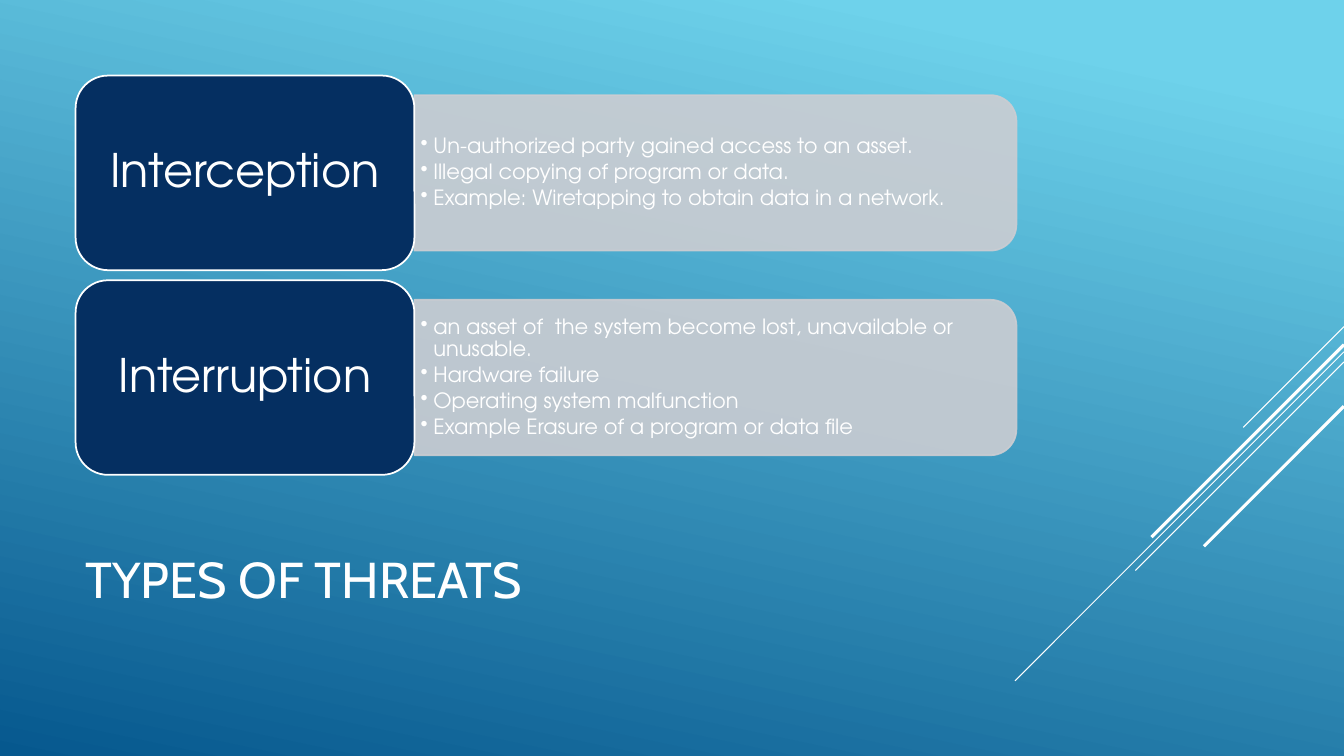
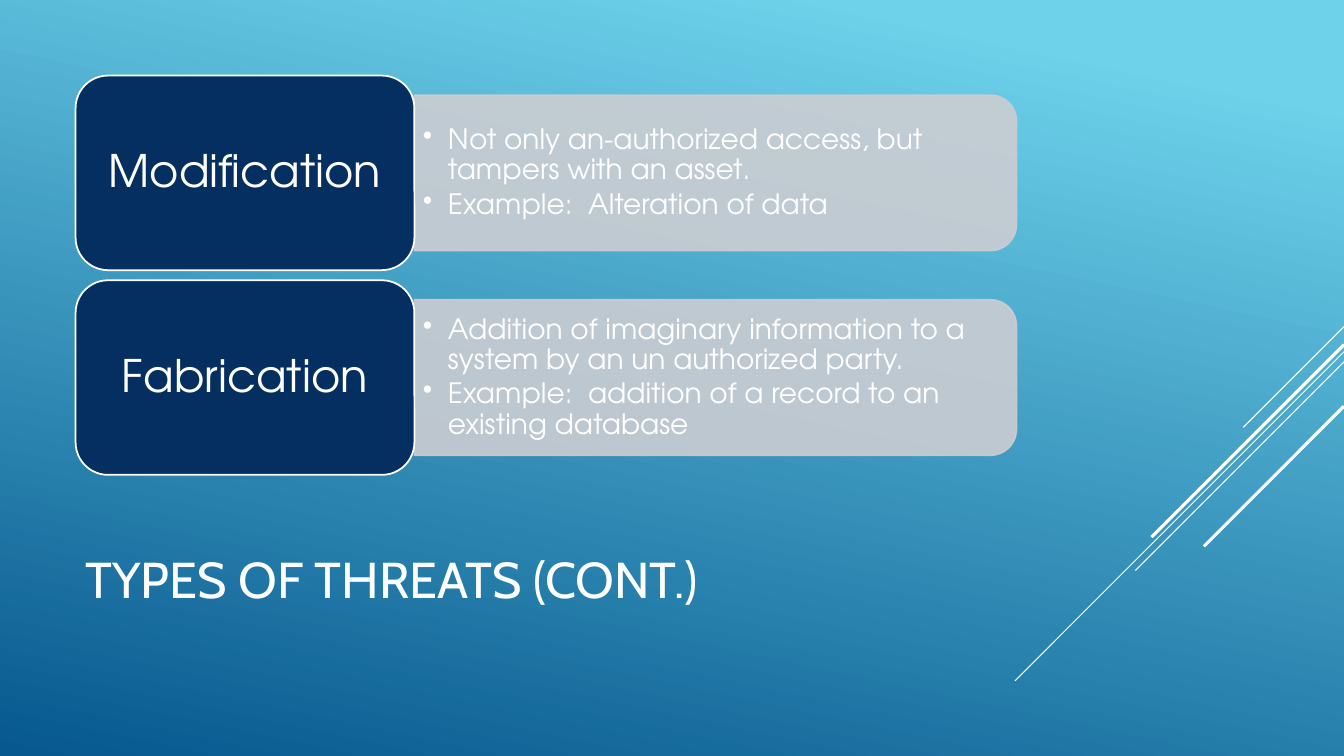
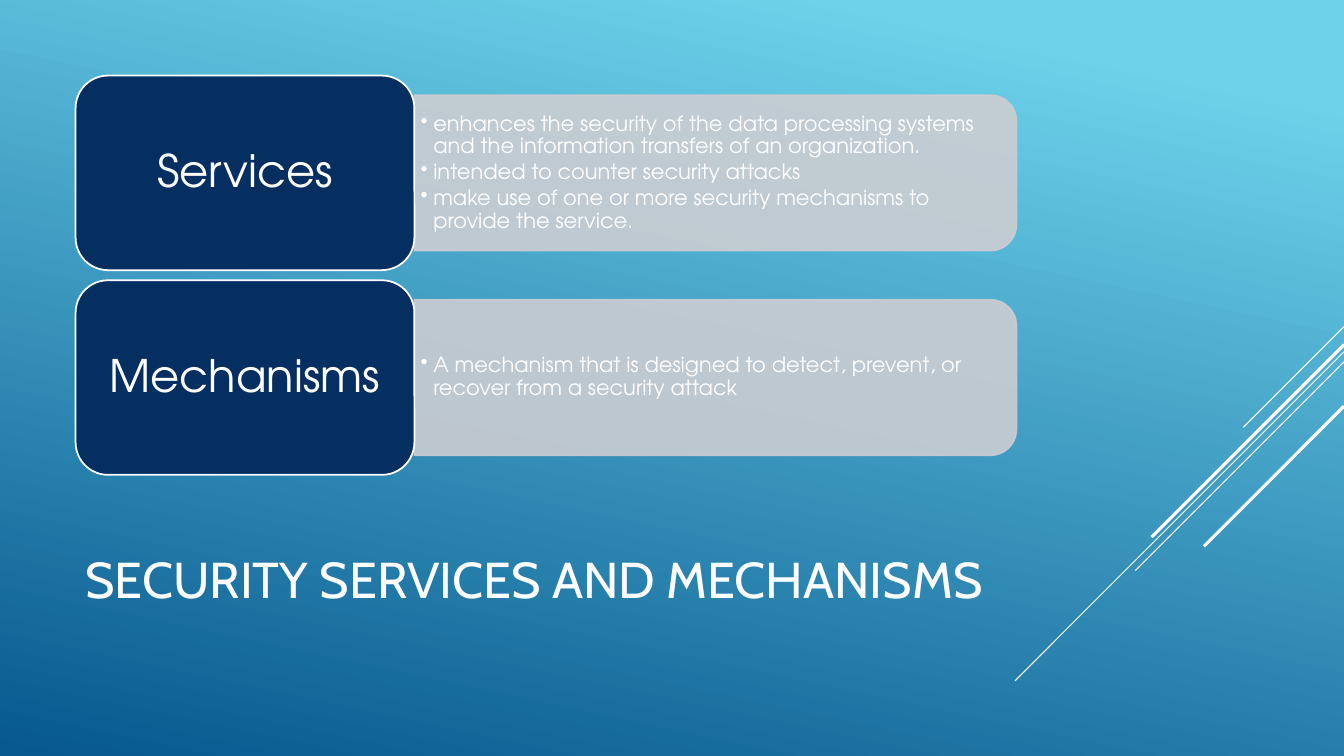
import pptx
import pptx.dml.color
import pptx.enum.shapes
import pptx.enum.text
import pptx.oxml
import pptx.oxml.ns
import pptx.util

Pt = pptx.util.Pt
RGBColor = pptx.dml.color.RGBColor
MSO_SHAPE = pptx.enum.shapes.MSO_SHAPE
PP_ALIGN = pptx.enum.text.PP_ALIGN
MSO_ANCHOR = pptx.enum.text.MSO_ANCHOR

# Content: bullet style, then (heading, bullets) for each row
SMALL = {"size": 15, "indent": 9, "inset": 4.5}
LARGE = {"size": 20, "indent": 18, "inset": 6}
SLIDES = [
    {"title": "TYPES OF THREATS", "heading_size": 33, "style": SMALL, "rows": [
        ("Interception", [
            "Un-authorized party gained access to an asset.",
            "Illegal copying of program or data.",
            "Example: Wiretapping to obtain data in a network."]),
        ("Interruption", [
            "an asset of  the system become lost, unavailable or unusable.",
            "Hardware failure",
            "Operating system malfunction",
            "Example Erasure of a program or data file"])]},
    {"title": "TYPES OF THREATS (CONT.)", "heading_size": 32, "style": LARGE, "rows": [
        ("Modification", [
            "Not only an-authorized access, but tampers with an asset.",
            "Example:  Alteration of data"]),
        ("Fabrication", [
            "Addition of imaginary information to a system by an un authorized party.",
            "Example:  addition of a record to an existing database"])]},
    {"title": "SECURITY SERVICES AND MECHANISMS", "heading_size": 32, "style": SMALL, "rows": [
        ("Services", [
            "enhances the security of the data processing systems and the "
            "information transfers of an organization.",
            "intended to counter security attacks",
            "make use of one or more security mechanisms to provide the service."]),
        ("Mechanisms", [
            "A mechanism that is designed to detect, prevent, or recover from "
            "a security attack"])]},
]

# Shared look
WHITE = RGBColor(0xFF, 0xFF, 0xFF)
NAVY = RGBColor(0x05, 0x2F, 0x61)
GREY = RGBColor(0xCC, 0xCD, 0xD2)
SKY = RGBColor(0x6E, 0xD2, 0xEB)
DEEP_BLUE = RGBColor(0x06, 0x58, 0x8E)
TITLE_FONT, BODY_FONT = "Cabin", "TeX Gyre Adventor"

# Layout in points
WIDTH, HEIGHT = 960, 540
LEFT, TOP = 54, 54
HEADING_WIDTH, HEADING_HEIGHT, ROW_STEP = 242, 139, 146.2
BAR_LEFT, BAR_WIDTH, BAR_HEIGHT = LEFT + HEADING_WIDTH, 430, 111
BULLETS_WIDTH, BULLETS_HEIGHT = 425, 100
TITLE_BOX = (54, 353.5, 672, 119)
# Diagonals from the right edge: top, extent, weight
DIAGONALS = [(233.3, 72, 0.75), (251.3, 235, 0.75), (258.5, 149, 0.75),
             (246.2, 137.5, 2.25), (290.2, 100, 2.25)]


def set_background(master):
    fill = master.background.fill
    fill.gradient()
    fill.gradient_angle = 360 - 102
    for stop, color, position in zip(fill.gradient_stops, (SKY, DEEP_BLUE), (0.1, 1)):
        stop.color.rgb = color
        stop.position = position


def add_diagonals(slide):
    for top, extent, weight in DIAGONALS:
        connector = slide.shapes.add_connector(
            pptx.enum.shapes.MSO_CONNECTOR.STRAIGHT,
            Pt(WIDTH), Pt(top), Pt(WIDTH - extent), Pt(top + extent))
        connector.line.color.rgb = WHITE
        connector.line.width = Pt(weight)
        properties = connector._element.spPr
        properties.append(pptx.oxml.parse_xml(
            "<a:effectLst %s/>" % pptx.oxml.ns.nsdecls("a")))


def add_block(slide, preset, box, color, line_color):
    shape = slide.shapes.add_shape(preset, *map(Pt, box))
    shape.shadow.inherit = False
    shape.fill.solid()
    shape.fill.fore_color.rgb = color
    shape.line.color.rgb = line_color
    shape.line.width = Pt(1.25)
    return shape


def write(shape, lines, font, size, align=PP_ALIGN.LEFT, spacing=None, insets=(7.2, 3.6)):
    frame = shape.text_frame
    frame.word_wrap = True
    frame.vertical_anchor = MSO_ANCHOR.MIDDLE
    frame.margin_left = frame.margin_right = Pt(insets[0])
    frame.margin_top = frame.margin_bottom = Pt(insets[1])
    frame.text = "\n".join(lines)
    for paragraph in frame.paragraphs:
        paragraph.alignment = align
        paragraph.line_spacing = spacing
        for run in paragraph.runs:
            run.font.name = font
            run.font.size = Pt(size)
            run.font.color.rgb = WHITE


def add_bullets(slide, lines, middle, style):
    box = slide.shapes.add_textbox(Pt(BAR_LEFT), Pt(middle - BULLETS_HEIGHT / 2),
                                   Pt(BULLETS_WIDTH), Pt(BULLETS_HEIGHT))
    inset, indent, size = style["inset"], style["indent"], style["size"]
    write(box, lines, BODY_FONT, size, spacing=0.9, insets=(inset, inset / 2))
    for paragraph in box.text_frame.paragraphs:
        paragraph.space_after = Pt(size * 0.15)
        properties = paragraph._p.get_or_add_pPr()
        properties.set("marL", str(Pt(indent)))
        properties.set("indent", str(-Pt(indent)))
        properties.append(pptx.oxml.parse_xml(
            '<a:buChar %s char="•"/>' % pptx.oxml.ns.nsdecls("a")))


def add_row(slide, top, heading, lines, heading_size, style):
    middle = top + HEADING_HEIGHT / 2
    # Translucent bar, turned so that its rounded end faces right
    bar = add_block(slide, MSO_SHAPE.ROUND_2_SAME_RECTANGLE,
                    (BAR_LEFT + (BAR_WIDTH - BAR_HEIGHT) / 2, middle - BAR_WIDTH / 2,
                     BAR_HEIGHT, BAR_WIDTH), GREY, GREY)
    bar.rotation = 90
    for color in bar._element.spPr.iter(pptx.oxml.ns.qn("a:srgbClr")):
        color.append(pptx.oxml.parse_xml(
            '<a:alpha %s val="90000"/>' % pptx.oxml.ns.nsdecls("a")))
    add_bullets(slide, lines, middle, style)
    # Heading block
    block = add_block(slide, MSO_SHAPE.ROUNDED_RECTANGLE,
                      (LEFT, top, HEADING_WIDTH, HEADING_HEIGHT), NAVY, WHITE)
    write(block, [heading], BODY_FONT, heading_size, PP_ALIGN.CENTER, 0.9, (9.6, 4.8))


def main():
    presentation = pptx.Presentation()
    presentation.slide_width, presentation.slide_height = Pt(WIDTH), Pt(HEIGHT)
    set_background(presentation.slide_master)
    for content in SLIDES:
        slide = presentation.slides.add_slide(presentation.slide_layouts[6])
        add_diagonals(slide)
        title = slide.shapes.add_textbox(*map(Pt, TITLE_BOX))
        write(title, [content["title"]], TITLE_FONT, 36)
        for index, (heading, lines) in enumerate(content["rows"]):
            add_row(slide, TOP + index * ROW_STEP, heading, lines,
                    content["heading_size"], content["style"])
    presentation.save("out.pptx")


if __name__ == "__main__":
    main()
